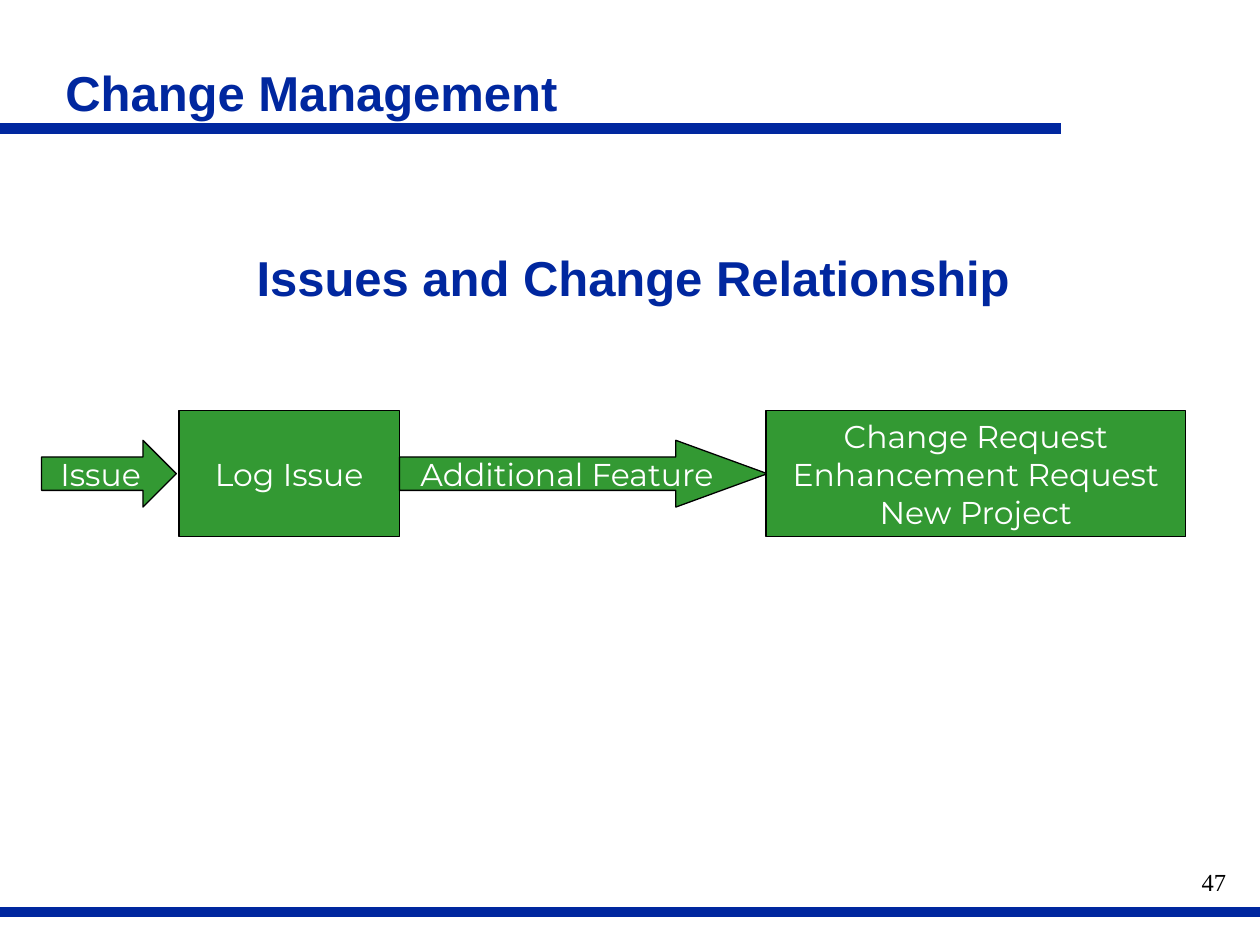
from pptx import Presentation
from pptx.dml.color import RGBColor
from pptx.enum.shapes import MSO_CONNECTOR, MSO_SHAPE
from pptx.enum.text import MSO_ANCHOR, PP_ALIGN
from pptx.oxml.ns import qn
from pptx.util import Inches, Pt
from lxml.etree import SubElement

# Content
BLUE, GREEN, WHITE, BLACK = "00279F", "339933", "FFFFFF", "000000"
SECTION = "Change Management"
TITLE = "Issues and Change Relationship"
PAGE = "47"
RULES = [(8.42, 1.02), (10, 7.24)]  # right end, y
BOX, ARROW = MSO_SHAPE.FLOWCHART_PROCESS, MSO_SHAPE.RIGHT_ARROW
# kind, left, width, head length / height, left inset, text
FLOW = [
    (ARROW, 0.33, 1.07, 0.5, 0.1, "Issue"),
    (BOX, 1.42, 1.75, None, 0.1, "Log Issue"),
    (ARROW, 3.17, 2.92, 1.37, 0.2, "Additional Feature"),
    (BOX, 6.08, 3.33, None, 0.1,
     "Change Request\nEnhancement Request\nNew Project"),
]
HEIGHTS = {BOX: 1, ARROW: 0.53}
FLOW_MIDDLE = 3.76


def rgb(value):
    return RGBColor.from_string(value)


def write(sp, text, size, font, color, align, bold=False, spacing=None,
          anchor=MSO_ANCHOR.MIDDLE, wrap=True):
    tf = sp.text_frame
    tf.text = text
    tf.word_wrap = wrap
    tf.vertical_anchor = anchor
    for p in tf.paragraphs:
        p.alignment = align
        p.line_spacing = spacing
        for r in p.runs:
            r.font.size, r.font.name, r.font.bold = Pt(size), font, bold
            r.font.color.rgb = rgb(color)


prs = Presentation()
prs.slide_width, prs.slide_height = Inches(10), Inches(7.5)
s = prs.slides.add_slide(prs.slide_layouts[5])

# Horizontal rules
for right, y in RULES:
    line = s.shapes.add_connector(MSO_CONNECTOR.STRAIGHT, Inches(0), Inches(y),
                                  Inches(right), Inches(y))
    line.line.color.rgb = rgb(BLUE)
    line.line.width = Pt(6)
    SubElement(line._element.spPr, qn("a:effectLst"))

# Title
title = s.shapes.title
title.left, title.top = Inches(0.92), Inches(1.83)
title.width, title.height = Inches(8.21), Inches(0.81)
write(title, TITLE, 28, "Arial", BLUE, PP_ALIGN.CENTER, bold=True, spacing=0.85)

# Flow of boxes and arrows
flow = s.shapes.add_group_shape()
for kind, left, width, head, inset, text in FLOW:
    height = HEIGHTS[kind]
    sp = flow.shapes.add_shape(kind, Inches(left), Inches(FLOW_MIDDLE - height / 2),
                               Inches(width), Inches(height))
    if head:
        sp.adjustments[1] = head
    sp.shadow.inherit = False
    sp.fill.solid()
    sp.fill.fore_color.rgb = rgb(GREEN)
    sp.line.color.rgb = rgb(BLACK)
    sp.line.width = Pt(0.75)
    sp.text_frame.margin_left = Inches(inset)
    write(sp, text, 18, "Montserrat", WHITE, PP_ALIGN.CENTER, wrap=False)

# Section heading and page number
heading = s.shapes.add_textbox(Inches(0.42), Inches(0.5), Inches(8.21), Inches(0.53))
write(heading, SECTION, 28, "Arial", BLUE, PP_ALIGN.LEFT, bold=True, spacing=0.85)
number = s.shapes.add_textbox(Inches(7.75), Inches(6.83), Inches(2.08), Inches(0.5))
write(number, PAGE, 14, "Times New Roman", BLACK, PP_ALIGN.RIGHT,
      anchor=MSO_ANCHOR.TOP)

prs.save("out.pptx")
